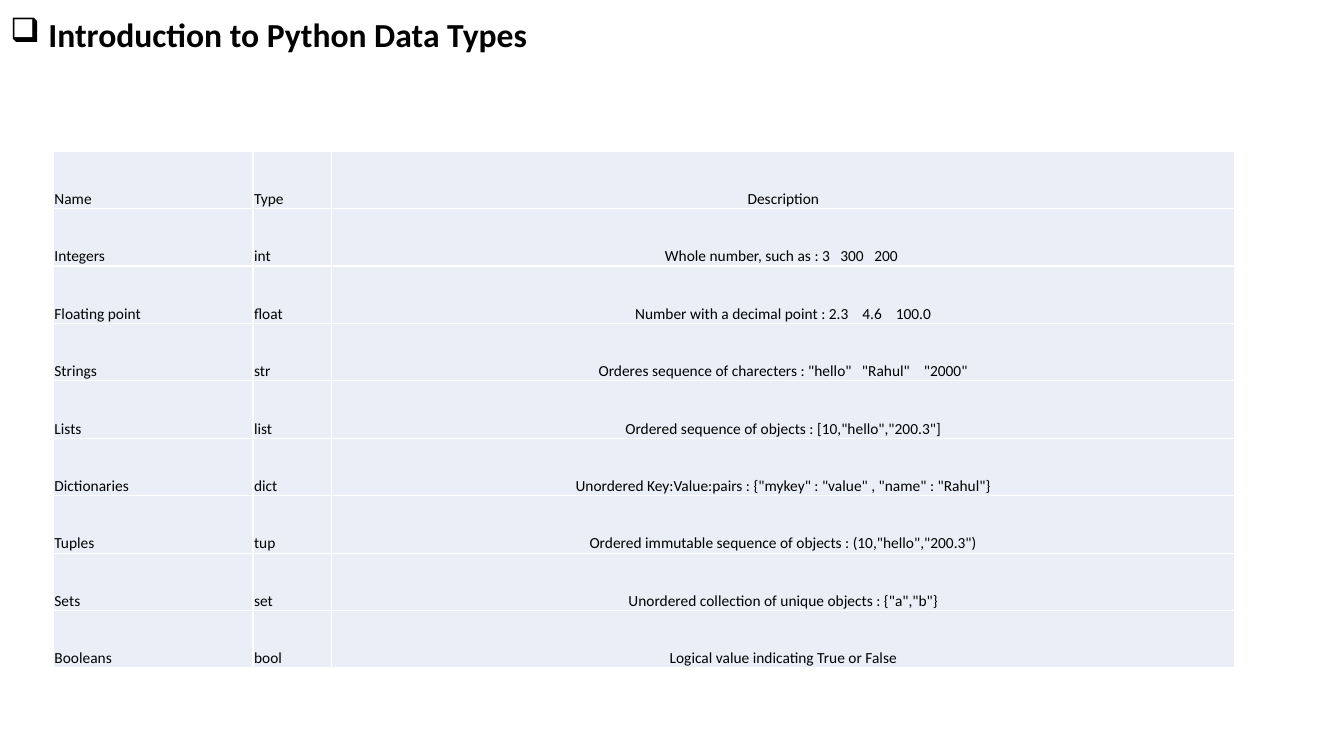
from dataclasses import dataclass
from typing import NamedTuple

from lxml import etree
from pptx import Presentation
from pptx import util as u
from pptx.dml.color import RGBColor
from pptx.enum import text
from pptx.oxml import ns


@dataclass(frozen=True)
class Theme:
    font: str = "Calibri"
    ink: RGBColor = RGBColor(0, 0, 0)
    cell_fill: RGBColor = RGBColor(0xEA, 0xEF, 0xF7)
    border: str = "FFFFFF"
    border_width: int = u.Pt(1)
    title_size: int = u.Pt(24)
    table_size: int = u.Pt(11)


class DataType(NamedTuple):
    name: str
    keyword: str
    description: str


THEME = Theme()
ROWS = [
    DataType("Name", "Type", "Description"),
    DataType("Integers", "int", "Whole number, such as : 3   300   200 "),
    DataType("Floating point", "float", "Number with a decimal point : 2.3    4.6    100.0"),
    DataType("Strings", "str", 'Orderes sequence of charecters : "hello"   "Rahul"    "2000"'),
    DataType("Lists", "list", 'Ordered sequence of objects : [10,"hello","200.3"]'),
    DataType("Dictionaries", "dict",
             'Unordered Key:Value:pairs : {"mykey" : "value" , "name" : "Rahul"}'),
    DataType("Tuples", "tup", 'Ordered immutable sequence of objects : (10,"hello","200.3")'),
    DataType("Sets", "set", 'Unordered collection of unique objects : {"a","b"}'),
    DataType("Booleans", "bool", "Logical value indicating True or False"),
]
COLUMN_WIDTHS = (1.98, 0.78, 8.96)
COLUMN_ALIGNMENTS = (text.PP_ALIGN.LEFT, text.PP_ALIGN.LEFT, text.PP_ALIGN.CENTER)
TABLE_HEIGHT = 5.13


def style_font(paragraph, size: int, bold: bool = False) -> None:
    font = paragraph.font
    font.name, font.size, font.bold = THEME.font, size, bold
    font.color.rgb = THEME.ink


def add_bullet(paragraph, character: str, indent: int) -> None:
    """Give the paragraph a bullet with a hanging indent."""
    properties = paragraph._p.get_or_add_pPr()
    properties.set("marL", str(indent))
    properties.set("indent", str(-indent))
    etree.SubElement(properties, ns.qn("a:buChar"), char=character)


def add_borders(cell) -> None:
    properties = cell._tc.get_or_add_tcPr()
    for side in ("lnL", "lnR", "lnT", "lnB"):
        line = etree.SubElement(properties, ns.qn(f"a:{side}"), w=str(THEME.border_width))
        fill = etree.SubElement(line, ns.qn("a:solidFill"))
        etree.SubElement(fill, ns.qn("a:srgbClr"), val=THEME.border)


def fill_title(title) -> None:
    title.left, title.top = u.Inches(0), u.Inches(0)
    title.width, title.height = u.Inches(11.67), u.Inches(0.59)
    frame = title.text_frame
    frame.text = "Introduction to Python Data Types"
    frame.vertical_anchor = text.MSO_ANCHOR.BOTTOM
    frame.auto_size = text.MSO_AUTO_SIZE.NONE
    paragraph = frame.paragraphs[0]
    paragraph.alignment = text.PP_ALIGN.LEFT
    paragraph.line_spacing = 0.9
    add_bullet(paragraph, "❑", u.Inches(0.38))
    style_font(paragraph, THEME.title_size, bold=True)


def fill_cell(cell, content: str, alignment: text.PP_ALIGN) -> None:
    cell.text = content
    cell.vertical_anchor = text.MSO_ANCHOR.BOTTOM
    cell.margin_left = cell.margin_right = cell.margin_top = u.Inches(0.01)
    cell.margin_bottom = 0
    add_borders(cell)
    cell.fill.solid()
    cell.fill.fore_color.rgb = THEME.cell_fill
    paragraph = cell.text_frame.paragraphs[0]
    paragraph.alignment = alignment
    style_font(paragraph, THEME.table_size)


def add_type_table(slide) -> None:
    table = slide.shapes.add_table(
        len(ROWS), len(COLUMN_WIDTHS), u.Inches(0.53), u.Inches(1.5),
        u.Inches(sum(COLUMN_WIDTHS)), u.Inches(TABLE_HEIGHT)).table
    table.first_row = table.horz_banding = False
    for column, width in zip(table.columns, COLUMN_WIDTHS):
        column.width = u.Inches(width)
    for row, data_type in zip(table.rows, ROWS):
        for cell, content, alignment in zip(row.cells, data_type, COLUMN_ALIGNMENTS):
            fill_cell(cell, content, alignment)


def main() -> None:
    presentation = Presentation()
    presentation.slide_width = u.Inches(13.33)
    presentation.slide_height = u.Inches(7.5)
    title_only = presentation.slide_layouts[5]
    slide = presentation.slides.add_slide(title_only)
    fill_title(slide.shapes.title)
    add_type_table(slide)
    presentation.save("out.pptx")


if __name__ == "__main__":
    main()
